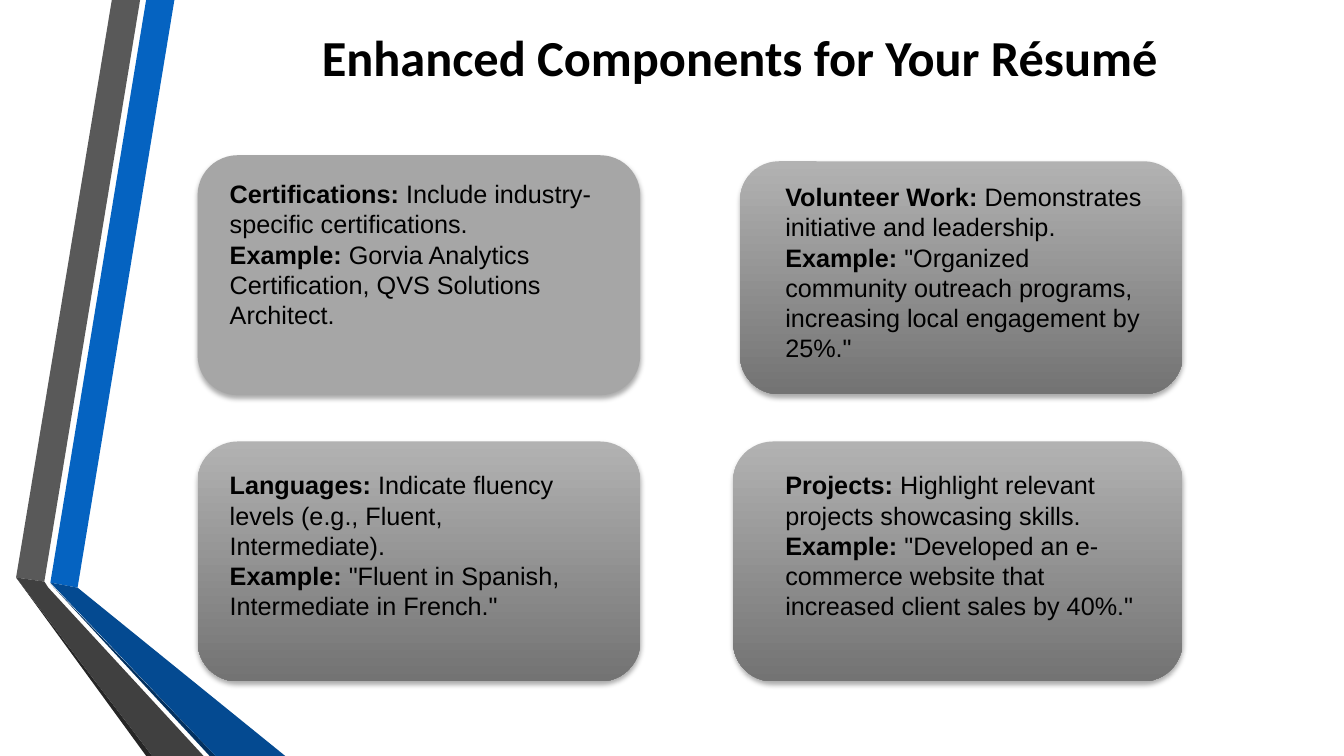
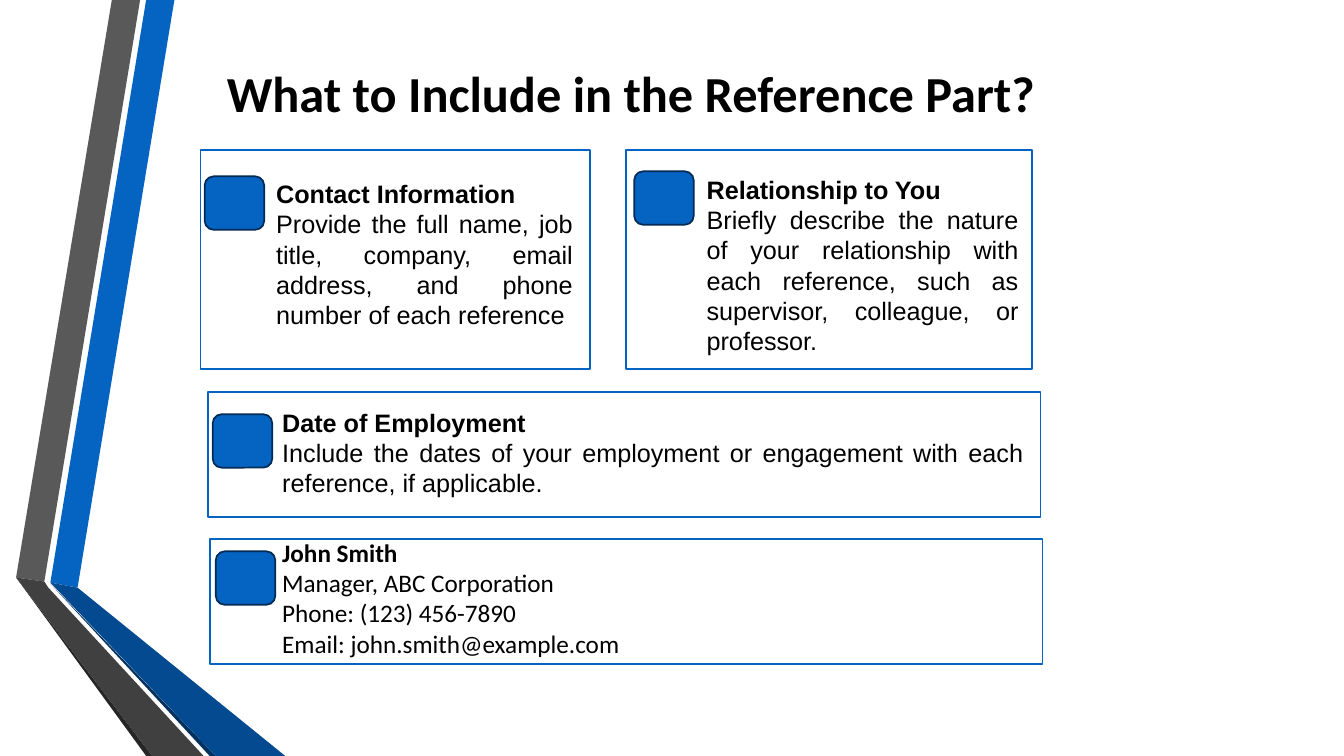
from dataclasses import dataclass

from lxml import etree
from pptx import Presentation
from pptx.dml.color import RGBColor
from pptx.enum.shapes import MSO_SHAPE
from pptx.enum.text import MSO_ANCHOR, PP_ALIGN
from pptx.oxml.ns import qn
from pptx.util import Emu, Pt

PX = 9144  # EMU per px, 100 px to the inch
WIDTH, HEIGHT = 1333, 750

RECT, ROUND = MSO_SHAPE.RECTANGLE, MSO_SHAPE.ROUNDED_RECTANGLE
LEFT, CENTER, JUSTIFY = PP_ALIGN.LEFT, PP_ALIGN.CENTER, PP_ALIGN.JUSTIFY
MIDDLE = MSO_ANCHOR.MIDDLE

BLACK = RGBColor(0x00, 0x00, 0x00)
BLUE = RGBColor(0x05, 0x63, 0xC1)
BLUE_SHADE = RGBColor(0x04, 0x4A, 0x91)
BLUE_EDGE = RGBColor(0x03, 0x31, 0x60)
NAVY = RGBColor(0x02, 0x2B, 0x55)
GRAY = RGBColor(0x59, 0x59, 0x59)
GRAY_SHADE = RGBColor(0x40, 0x40, 0x40)
GRAY_EDGE = RGBColor(0x26, 0x26, 0x26)
CARD_FLAT = RGBColor(0xA6, 0xA6, 0xA6)
CARD_TOP = RGBColor(0xB2, 0xB2, 0xB2)
CARD_BOTTOM = RGBColor(0x73, 0x73, 0x73)

TITLE_FONT, BODY_FONT = "Calibri", "Arial"
TITLE_SIZE, BODY_SIZE, BODY_LEADING = Pt(36), Pt(18), Pt(21.6)
LINE_WIDTH = Pt(1.25)
ICON_W, ICON_H = 59, 53


@dataclass(frozen=True)
class Box:
    x: int
    y: int
    w: int
    h: int

    def emu(self) -> list[Emu]:
        return [Emu(v * PX) for v in (self.x, self.y, self.w, self.h)]


@dataclass(frozen=True)
class Para:
    bold: str
    plain: str = ""
    align: PP_ALIGN = LEFT


@dataclass(frozen=True)
class Card:
    box: Box
    text_box: Box
    paras: tuple[Para, ...]
    flat: bool = False


@dataclass(frozen=True)
class Panel:
    box: Box
    icon_x: int
    icon_y: int
    text_box: Box
    paras: tuple[Para, ...]
    font: str = BODY_FONT


@dataclass(frozen=True)
class Band:
    color: RGBColor
    points: tuple[tuple[int, int], ...]


# Ribbon shared by all slides
BANDS = (
    Band(BLUE, ((50, 578), (77, 583), (173, 0), (145, 0))),
    Band(GRAY, ((139, 0), (111, 0), (16, 573), (44, 577))),
    Band(GRAY_EDGE, ((16, 573), (145, 750), (151, 750))),
    Band(BLUE_EDGE, ((50, 579), (208, 750), (214, 750))),
    Band(BLUE_SHADE, ((50, 578), (214, 750), (283, 750), (77, 583))),
    Band(GRAY_SHADE, ((202, 750), (48, 583), (44, 577), (16, 573), (151, 750))),
)

CARDS = (
    Card(Box(196, 154, 439, 238), Box(218, 172, 411, 192), (
        Para("Certifications:", " Include industry-specific certifications."),
        Para("Example: ", "Gorvia Analytics Certification, QVS Solutions Architect."),
    ), flat=True),
    Card(Box(734, 160, 439, 231), Box(769, 175, 384, 222), (
        Para("Volunteer Work:", " Demonstrates initiative and leadership."),
        Para("Example:", ' "Organized community outreach programs, '
                         'increasing local engagement by 25%."'),
    )),
    Card(Box(196, 438, 439, 238), Box(218, 461, 385, 192), (
        Para("Languages:", " Indicate fluency levels (e.g., Fluent, Intermediate)."),
        Para("Example:", ' "Fluent in Spanish, Intermediate in French."'),
    )),
    Card(Box(727, 438, 446, 238), Box(769, 461, 375, 192), (
        Para("Projects:", " Highlight relevant projects showcasing skills."),
        Para("Example:", ' "Developed an e-commerce website that '
                         'increased client sales by 40%."'),
    )),
)

PANELS = (
    Panel(Box(199, 149, 386, 217), 203, 175, Box(264, 172, 314, 162), (
        Para("Contact Information"),
        Para("", "Provide the full name, job title, company, email address, "
                 "and phone number of each reference", JUSTIFY),
    )),
    Panel(Box(621, 149, 403, 217), 629, 170, Box(691, 168, 329, 192), (
        Para("Relationship to You"),
        Para("", "Briefly describe the nature of your relationship with each "
                 "reference, such as supervisor, colleague, or professor.", JUSTIFY),
    )),
    Panel(Box(206, 389, 826, 124), 211, 411, Box(270, 399, 755, 101), (
        Para("Date of Employment"),
        Para("", "Include the dates of your employment or engagement with each "
                 "reference, if applicable.", JUSTIFY),
    )),
    Panel(Box(208, 535, 826, 124), 214, 547, Box(270, 528, 813, 131), (
        Para("John Smith"),
        Para("", "Manager, ABC Corporation"),
        Para("", "Phone: (123) 456-7890"),
        Para("", "Email: john.smith@example.com"),
    ), TITLE_FONT),
)


def style_run(r, font: str, size: Pt, bold: bool) -> None:
    r.font.name, r.font.size, r.font.bold = font, size, bold
    r.font.color.rgb = BLACK


def add_ribbon(prs, slide) -> None:
    """Draw the ribbon and move it to the back of the master."""
    tree = prs.slide_master.shapes.element
    for i, band in enumerate(BANDS):
        fb = slide.shapes.build_freeform(*band.points[0], scale=PX)
        fb.add_line_segments(band.points[1:], close=True)
        sp = fb.convert_to_shape()
        sp.shadow.inherit = False
        sp.fill.solid()
        sp.fill.fore_color.rgb = band.color
        sp.line.fill.background()
        sp.name = f"Ribbon {i + 1}"
        sp.element.nvSpPr.cNvPr.set("id", str(100 + i))
        tree.insert(2 + i, sp.element)


def add_slide(prs, title: str, box: Box):
    slide = prs.slides.add_slide(prs.slide_layouts[5])
    sp = slide.shapes.title
    sp.left, sp.top, sp.width, sp.height = box.emu()
    tf = sp.text_frame
    tf.text = title
    tf.vertical_anchor = MIDDLE
    p = tf.paragraphs[0]
    p.alignment = CENTER
    style_run(p.runs[0], TITLE_FONT, TITLE_SIZE, True)
    return slide


def add_shape(slide, kind: MSO_SHAPE, box: Box, fill: RGBColor | None = None,
              line: RGBColor | None = None):
    sp = slide.shapes.add_shape(kind, *box.emu())
    sp.shadow.inherit = False
    if fill is None:
        sp.fill.background()
    else:
        sp.fill.solid()
        sp.fill.fore_color.rgb = fill
    if line is None:
        sp.line.fill.background()
    else:
        sp.line.color.rgb = line
        sp.line.width = LINE_WIDTH
    return sp


def add_text(slide, box: Box, paras: tuple[Para, ...], font: str = BODY_FONT) -> None:
    tf = slide.shapes.add_textbox(*box.emu()).text_frame
    tf.word_wrap = True
    for i, para in enumerate(paras):
        p = tf.add_paragraph() if i else tf.paragraphs[0]
        p.alignment = para.align
        p.line_spacing = BODY_LEADING
        for text, bold in ((para.bold, True), (para.plain, False)):
            if text:
                r = p.add_run()
                r.text = text
                style_run(r, font, BODY_SIZE, bold)


def add_shadow(sp) -> None:
    effects = sp.element.spPr.find(qn("a:effectLst"))
    shadow = etree.SubElement(effects, qn("a:outerShdw"), blurRad=str(Pt(3.5)),
                              dist=str(Pt(2.2)), dir="5400000", rotWithShape="0")
    color = etree.SubElement(shadow, qn("a:srgbClr"), val=str(BLACK))
    etree.SubElement(color, qn("a:alpha"), val="32000")


def add_card(slide, card: Card) -> None:
    sp = add_shape(slide, ROUND, card.box, CARD_FLAT)
    if not card.flat:
        sp.fill.gradient()
        sp.fill.gradient_angle = 270
        for stop, color in zip(sp.fill.gradient_stops, (CARD_TOP, CARD_BOTTOM)):
            stop.color.rgb = color
    add_shadow(sp)
    add_text(slide, card.text_box, card.paras)


def add_panel(slide, panel: Panel) -> None:
    add_shape(slide, RECT, panel.box, line=BLUE)
    icon = Box(panel.icon_x, panel.icon_y, ICON_W, ICON_H)
    add_shape(slide, ROUND, icon, BLUE, NAVY)
    add_text(slide, panel.text_box, panel.paras, panel.font)


def main() -> None:
    prs = Presentation()
    prs.slide_width, prs.slide_height = Emu(WIDTH * PX), Emu(HEIGHT * PX)

    # Résumé components
    slide = add_slide(prs, "Enhanced Components for Your Résumé", Box(196, 16, 1076, 80))
    add_ribbon(prs, slide)
    for card in CARDS:
        add_card(slide, card)

    # Reference part
    slide = add_slide(prs, "What to Include in the Reference Part?", Box(78, 52, 1096, 80))
    for panel in PANELS:
        add_panel(slide, panel)

    prs.save("out.pptx")


if __name__ == "__main__":
    main()
